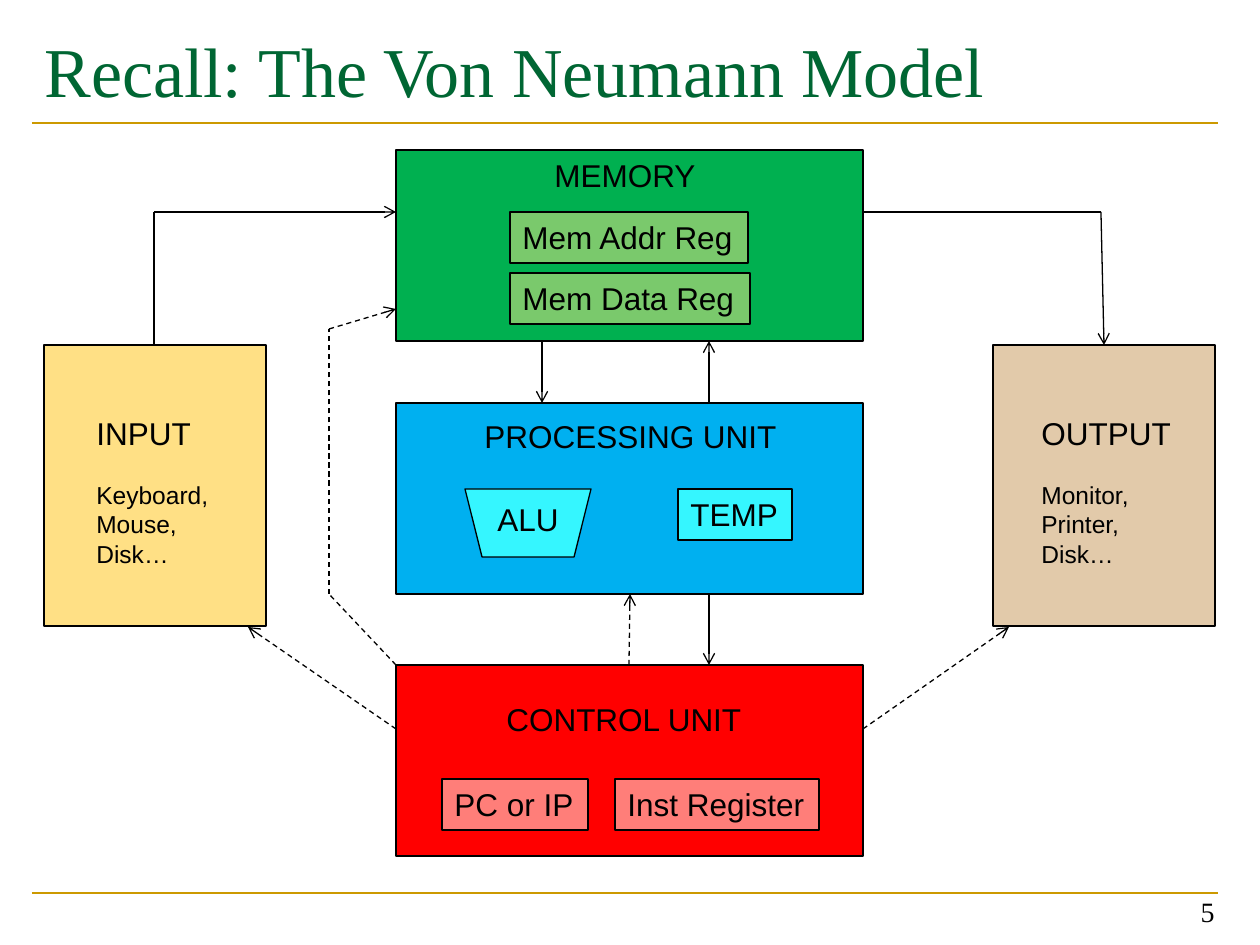
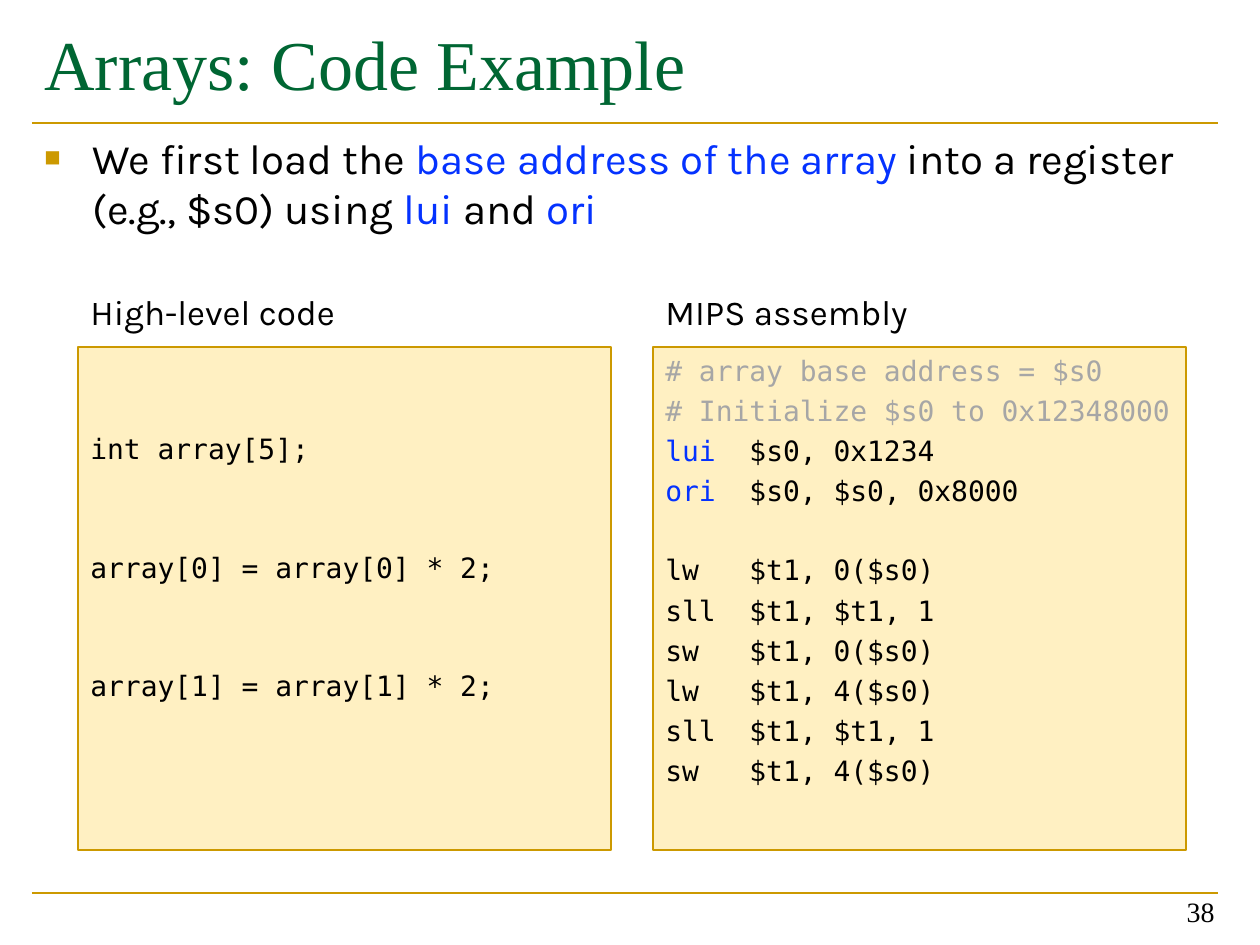
import pptx
import pptx.util
import pptx.dml.color
import pptx.enum.dml
import pptx.enum.shapes
import pptx.enum.text
import pptx.oxml
import pptx.oxml.ns

RGB = pptx.dml.color.RGBColor
Pt = pptx.util.Pt
SHAPE = pptx.enum.shapes.MSO_SHAPE
ANCHOR = pptx.enum.text.MSO_ANCHOR
ALIGN = pptx.enum.text.PP_ALIGN

BLACK = RGB(0x00, 0x00, 0x00)
GREEN = RGB(0x00, 0x66, 0x33)
GOLD = RGB(0xCC, 0x99, 0x00)
BLUE = RGB(0x04, 0x32, 0xFF)
GREY = RGB(0xA6, 0xA6, 0xA6)
CREAM = RGB(0xFF, 0xF0, 0xC2)
RED = RGB(0xFF, 0x00, 0x00)
PINK = RGB(0xFF, 0x7E, 0x79)
SKY = RGB(0x00, 0xB0, 0xF0)
CYAN = RGB(0x35, 0xF6, 0xFF)
LEAF = RGB(0x00, 0xB0, 0x50)
LIME = RGB(0x7A, 0xC9, 0x6C)
SAND = RGB(0xFF, 0xE0, 0x85)
TAN = RGB(0xE2, 0xCA, 0xAA)

SERIF, SANS, MONO, BODY = "Times New Roman", "Arial", "DejaVu Sans Mono", "Karla"

# Shared frame: rules across the slide, title and page number
RULES = [893, 123]
EDGES = (32, 1218)
PAGE = (934, 871, 293, 63)

# Model: units with label, label place and inner parts
MID, WIDE, HIGH = 396, 467, 191
UNITS = [
    (665, RED, "CONTROL UNIT", (494, 694, 263), PINK,
     [("PC or IP", 442, 779, 146), ("Inst Register", 615, 779, 204)]),
    (403, SKY, "PROCESSING UNIT", (472, 411, 320), CYAN,
     [("TEMP", 678, 489, 114)]),
    (150, LEAF, "MEMORY", (542, 150, 168), LIME,
     [("Mem Addr Reg", 510, 212, 238), ("Mem Data Reg", 510, 273, 240)]),
]
ALU = ((465, 489, 126, 68), ("ALU", 485, 494, 87))
ENDS = [
    (44, SAND, 84, 137, ["INPUT", "", "Keyboard,", "Mouse,", "Disk…"]),
    (993, TAN, 1029, 156, ["OUTPUT", "", "Monitor,", "Printer,", "Disk…"]),
]
LABEL = 51

# Routes: points in order, arrowhead on the last leg
DATA = [
    [(542, 341), (542, 403)],
    [(709, 403), (709, 341)],
    [(154, 345), (154, 212), (396, 212)],
    [(863, 212), (1101, 212), (1104, 345)],
    [(709, 594), (709, 665)],
]
CONTROL = [
    [(629, 665), (630, 594)],
    [(396, 729), (248, 627)],
    [(863, 729), (1009, 627)],
    [(396, 665), (329, 594), (329, 329), (396, 309)],
]

# Arrays: each row is a string or a list of (text, colour)
POINT = [("We first load the ", BLACK), ("base address of the array", BLUE),
         (" into a register (e.g., $s0) using ", BLACK), ("lui", BLUE),
         (" and ", BLACK), ("ori", BLUE)]
PANELS = [
    (78, "High-level code", [
        "", "", "int array[5];",
        "", "", "array[0] = array[0] * 2;",
        "", "", "array[1] = array[1] * 2;"]),
    (653, "MIPS assembly", [
        [("# array base address = $s0", GREY)],
        [("# Initialize $s0 to 0x12348000", GREY)],
        [("lui", BLUE), ("  $s0, 0x1234", BLACK)],
        [("ori", BLUE), ("  $s0, $s0, 0x8000", BLACK)],
        "",
        "lw   $t1, 0($s0)", "sll  $t1, $t1, 1", "sw   $t1, 0($s0)",
        "lw   $t1, 4($s0)", "sll  $t1, $t1, 1", "sw   $t1, 4($s0)"]),
]


def px(num):
    return round(num * 914400 / 126)


def put(item, **kinds):
    for name, value in kinds.items():
        setattr(item, name, value)


def write(shape, rows, face, size, color=BLACK, wrap=True, small=None,
          lead=0, blank=0, anchor=ANCHOR.TOP, align=ALIGN.LEFT):
    """Fill a shape; an empty row becomes a gap of blank points."""
    frame = shape.text_frame
    put(frame, word_wrap=wrap, vertical_anchor=anchor)
    if not wrap:
        frame.auto_size = pptx.enum.text.MSO_AUTO_SIZE.SHAPE_TO_FIT_TEXT
    para, gap = None, 0
    for row in rows:
        if not row:
            gap += blank
            continue
        if para is None:
            para = frame.paragraphs[0]
            frame.margin_top = Pt(3.6 + gap)
            points = size
        else:
            para = frame.add_paragraph()
            para.space_before = Pt(lead + gap)
            points = small or size
        para.alignment = align
        gap = 0
        for text, tint in [(row, color)] if isinstance(row, str) else row:
            run = para.add_run()
            run.text = text
            put(run.font, name=face, size=Pt(points))
            run.font.color.rgb = tint


def text(slide, box, rows, face, size, **style):
    shape = slide.shapes.add_textbox(*map(px, box))
    write(shape, rows, face, size, **style)
    return shape


def block(slide, box, fill, line=BLACK, width=0.75, kind=SHAPE.RECTANGLE):
    shape = slide.shapes.add_shape(kind, *map(px, box))
    shape.shadow.inherit = False
    shape.fill.solid()
    shape.fill.fore_color.rgb = fill
    shape.line.color.rgb = line
    shape.line.width = Pt(width)
    return shape


def add(parent, tag, **values):
    node = pptx.oxml.parse_xml(f'<a:{tag} {pptx.oxml.ns.nsdecls("a")}/>')
    for name, value in values.items():
        node.set(name, value)
    parent.append(node)
    return node


def link(slide, start, end, color=BLACK, width=0.75, dash=False, head=False):
    line = slide.shapes.add_connector(
        pptx.enum.shapes.MSO_CONNECTOR.STRAIGHT, *map(px, start + end))
    line.line.color.rgb = color
    line.line.width = Pt(width)
    if dash:
        line.line.dash_style = pptx.enum.dml.MSO_LINE.DASH
    if head:
        add(line.line._get_or_add_ln(), "tailEnd", type="arrow")
    add(line._element.spPr, "effectLst")


def base(deck, title, box, anchor, page):
    slide = deck.slides.add_slide(deck.slide_layouts[6])
    for y in RULES:
        link(slide, (EDGES[0], y), (EDGES[1], y), GOLD, 1.5)
    text(slide, box, [title], SERIF, 40, color=GREEN, anchor=anchor)
    text(slide, PAGE, [page], SERIF, 16, anchor=ANCHOR.BOTTOM,
         align=ALIGN.RIGHT)
    return slide


def model(deck):
    slide = base(deck, "Recall: The Von Neumann Model",
                 (32, 21, 1228, 147), ANCHOR.TOP, "5")
    # Units and their parts
    for top, fill, name, (x, y, wide), tint, parts in UNITS:
        block(slide, (MID, top, WIDE, HIGH), fill)
        text(slide, (x, y, wide, LABEL), [name], SANS, 18, wrap=False)
        for label, x, y, wide in parts:
            part = block(slide, (x, y, wide, LABEL), tint)
            write(part, [label], SANS, 18, wrap=False)
    box, (label, x, y, wide) = ALU
    block(slide, box, CYAN, kind=SHAPE.TRAPEZOID).rotation = 180
    text(slide, (x, y, wide, LABEL), [label], SANS, 18, wrap=False)
    # Input and output
    for left, fill, x, wide, rows in ENDS:
        block(slide, (left, 345, 222, 281), fill)
        text(slide, (x, 408, wide, 170), rows, SANS, 18, small=14,
             blank=16, wrap=False)
    # Data flow is solid, control flow is dashed
    for routes, dash in ((DATA, False), (CONTROL, True)):
        for route in routes:
            for start, end in zip(route, route[1:]):
                link(slide, start, end, dash=dash, head=end == route[-1])


def arrays(deck):
    slide = base(deck, "Arrays: Code Example",
                 (32, 0, 1187, 126), ANCHOR.MIDDLE, "38")
    # Bullet point
    body = text(slide, (32, 126, 1187, 766), [POINT], BODY, 24)
    props = body.text_frame.paragraphs[0]._p.get_or_add_pPr()
    props.set("marL", str(px(48)))
    props.set("indent", str(px(-48)))
    add(add(props, "buClr"), "srgbClr", val=str(GOLD))
    add(props, "buSzPct", val="65000")
    add(props, "buFont", typeface=SANS)
    add(props, "buChar", char="■")
    # Code panels with headings
    for left, name, rows in PANELS:
        panel = block(slide, (left, 347, 533, 503), CREAM, GOLD, 1)
        write(panel, rows, MONO, 16, lead=3.75, blank=22.4)
        text(slide, (left, 284, 533, 63), [name], BODY, 20)


def main():
    deck = pptx.Presentation()
    put(deck, slide_width=px(1260), slide_height=px(945))
    model(deck)
    arrays(deck)
    deck.save("out.pptx")


if __name__ == "__main__":
    main()
